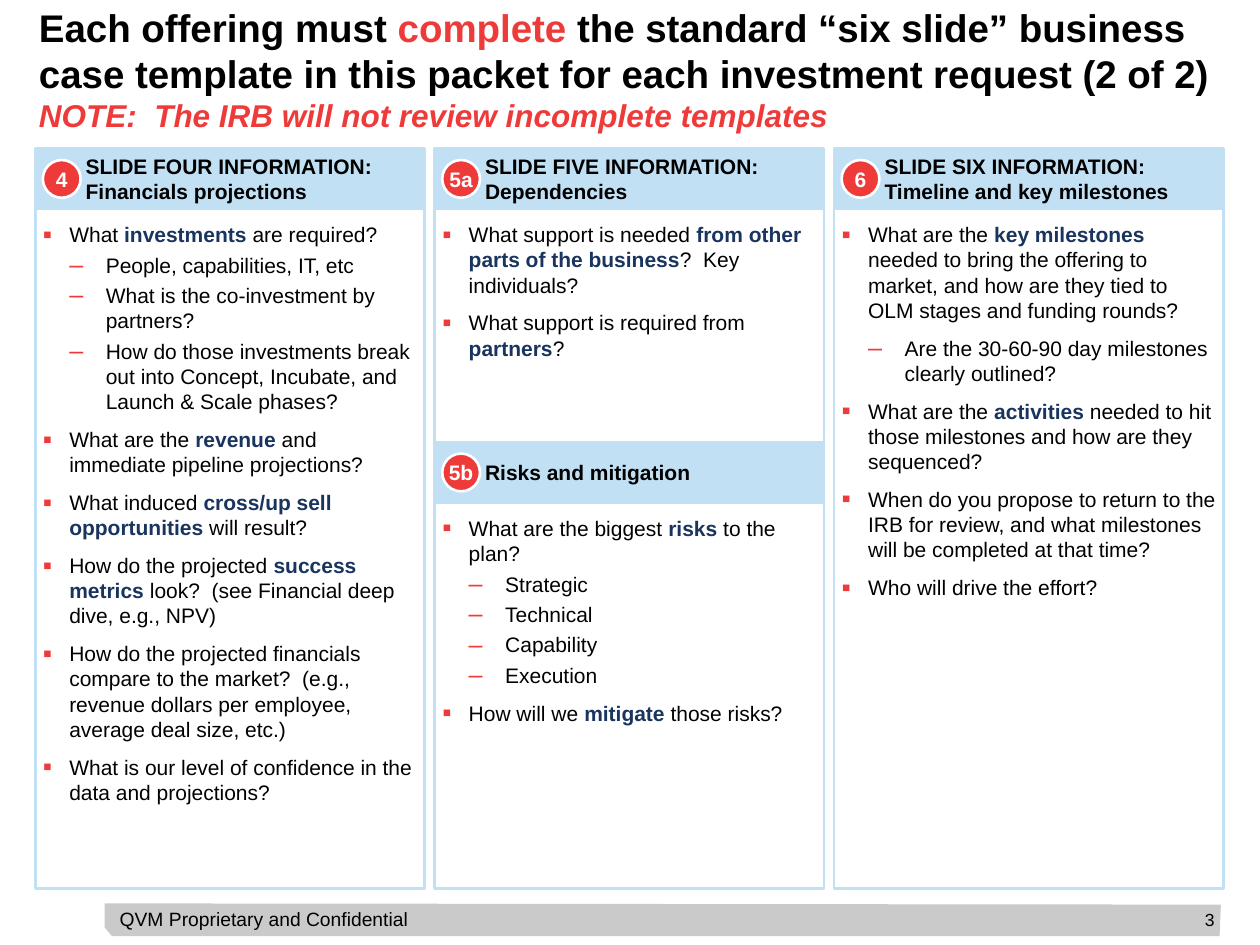
from dataclasses import dataclass

from lxml import etree
from pptx import Presentation
from pptx.dml.color import RGBColor
from pptx.enum import shapes, text
from pptx.oxml.ns import qn
from pptx.util import Inches, Pt


@dataclass(frozen=True)
class Theme:
    font: str = "Arial"
    black: str = "000000"
    white: str = "FFFFFF"
    red: str = "EF3A3A"
    navy: str = "19345E"
    pale_blue: str = "C1E0F4"
    gray: str = "CACACA"
    title: int = 22
    note: int = 18
    body: int = 12
    footer: int = 11
    number: int = 10


theme = Theme()
presentation = Presentation()
presentation.slide_width, presentation.slide_height = Inches(10), Inches(7.5)
slide = presentation.slides.add_slide(presentation.slide_layouts[6])


def add_run(paragraph, words, size, color=theme.black, bold=False, italic=False):
    run = paragraph.add_run()
    run.text = words
    run.font.name, run.font.size = theme.font, Pt(size)
    run.font.bold, run.font.italic = bold, italic
    run.font.color.rgb = RGBColor.from_string(color)


def add_block(left, top, width, height, kind=None, fill=None, line=None):
    """Add a preset shape, or a text box when kind is None, with no text margins."""
    box = [Inches(value) for value in (left, top, width, height)]
    if kind is None:
        shape = slide.shapes.add_textbox(*box)
    else:
        shape = slide.shapes.add_shape(kind, *box)
        shape.shadow.inherit = False
        shape.fill.solid()
        shape.fill.fore_color.rgb = RGBColor.from_string(fill)
        shape.line.color.rgb = RGBColor.from_string(line)
        shape.line.width = Pt(1.5)
    frame = shape.text_frame
    frame.margin_left = frame.margin_right = frame.margin_top = frame.margin_bottom = 0
    frame.word_wrap = True
    return frame


# Footer bar, notice and page number
corners = [(0.83, 7.17), (0.83, 7.36), (0.89, 7.43), (9.68, 7.43), (9.69, 7.18)]
points = [(Inches(x), Inches(y)) for x, y in corners]
builder = slide.shapes.build_freeform(*points[0])
builder.add_line_segments(points[1:], close=True)
bar = builder.convert_to_shape()
bar.shadow.inherit = False
bar.fill.solid()
bar.fill.fore_color.rgb = RGBColor.from_string(theme.gray)
bar.line.fill.background()

notice = add_block(0.95, 7.2, 4.16, 0.19)
notice.vertical_anchor = text.MSO_ANCHOR.MIDDLE
add_run(notice.paragraphs[0], "QVM Proprietary and Confidential", theme.footer)

number = add_block(9.46, 7.21, 0.18, 0.17)
number.vertical_anchor = text.MSO_ANCHOR.MIDDLE
number.paragraphs[0].alignment = text.PP_ALIGN.RIGHT
add_run(number.paragraphs[0], "3", theme.number)

# Title
title = add_block(0.31, 0.03, 9.56, 1.04).paragraphs[0]
add_run(title, "Each offering must ", theme.title, bold=True)
add_run(title, "complete", theme.title, theme.red, bold=True)
add_run(title, " the standard “six slide” business case template in this packet "
               "for each investment request (2 of 2) ", theme.title, bold=True)
add_run(title, "NOTE:  The IRB will not review incomplete templates",
        theme.note, theme.red, bold=True, italic=True)

# Three equal columns
column_lefts = [0.28 + 3.17 * column for column in range(3)]
column_width = 3.09
for left in column_lefts:
    add_block(left, 1.19, column_width, 5.86, shapes.MSO_SHAPE.RECTANGLE,
              theme.white, theme.pale_blue)

# Sections: column, top, badge, heading lines, body height, space before
# sub-items, items. *...* marks emphasis and a leading "- " a sub-item.
sections = [
    (0, 1.18, "4", ["SLIDE FOUR INFORMATION:", "Financials projections"], 4.66, 3, [
        "What *investments *are required?",
        "- People, capabilities, IT, etc",
        "- What is the co-investment by partners?",
        "- How do those investments break out into Concept, Incubate, "
        "and Launch & Scale phases?",
        "What are the *revenue* and immediate pipeline projections?",
        "What induced *cross/up sell opportunities* will result?",
        "How do the projected *success metrics *look?  "
        "(see Financial deep dive, e.g., NPV)",
        "How do the projected financials compare to the market?  "
        "(e.g., revenue dollars per employee, average deal size, etc.)",
        "What is our level of confidence in the data and projections?",
    ]),
    (1, 1.18, "5a", ["SLIDE FIVE INFORMATION:", "Dependencies"], 1.11, 3, [
        "What support is needed *from other parts of the business*?  Key individuals?",
        "What support is required from *partners*?",
    ]),
    (2, 1.18, "6", ["SLIDE SIX INFORMATION:", "Timeline and key milestones"], 3.02, 7.2, [
        "What are the *key milestones* needed to bring the offering to market, "
        "and how are they tied to OLM stages and funding rounds?",
        "- Are the 30-60-90 day milestones clearly outlined?",
        "What are the *activities* needed to hit those milestones "
        "and how are they sequenced?",
        "When do you propose to return to the IRB for review, "
        "and what milestones will be completed at that time?",
        "Who will drive the effort?",
    ]),
    (1, 3.51, "5b", ["Risks and mitigation"], 1.68, 3, [
        "What are the biggest *risks* to the plan?",
        "- Strategic",
        "- Technical",
        "- Capability",
        "- Execution",
        "How will we *mitigate* those risks?",
    ]),
]

for column, top, label, heading_lines, body_height, sub_space, items in sections:
    left = column_lefts[column]
    add_block(left, top, column_width, 0.48, shapes.MSO_SHAPE.RECTANGLE,
              theme.pale_blue, theme.pale_blue)

    badge = add_block(left + 0.06, top + 0.09, 0.3, 0.3, shapes.MSO_SHAPE.OVAL,
                      theme.red, theme.white)
    badge.word_wrap = False
    badge.vertical_anchor = text.MSO_ANCHOR.MIDDLE
    badge.paragraphs[0].alignment = text.PP_ALIGN.CENTER
    badge.paragraphs[0].space_after = Pt(2)
    add_run(badge.paragraphs[0], label, theme.body, theme.white, bold=True)

    heading_height = 0.2 * len(heading_lines)
    heading = add_block(left + 0.4, top + 0.24 - heading_height / 2, 2.49, heading_height)
    paragraph = heading.paragraphs[0]
    paragraph.space_after = Pt(2)
    for index, line in enumerate(heading_lines):
        if index:
            paragraph.add_line_break()
        add_run(paragraph, line, theme.body, bold=True)

    body = add_block(left + 0.05, top + 0.58, 2.99, body_height)
    for index, item in enumerate(items):
        paragraph = body.add_paragraph() if index else body.paragraphs[0]
        is_sub = item.startswith("- ")
        paragraph.level = 2 if is_sub else 1
        paragraph.space_before = Pt(sub_space if is_sub else 7.2)
        indent, hanging, mark, percent = (
            (0.51, 0.29, "–", 120) if is_sub else (0.22, 0.21, "▪", 125))
        properties = paragraph._p.get_or_add_pPr()
        properties.set("marL", str(Inches(indent)))
        properties.set("indent", str(-Inches(hanging)))
        bullet_color = etree.SubElement(properties, qn("a:buClr"))
        etree.SubElement(bullet_color, qn("a:srgbClr"), val=theme.red)
        etree.SubElement(properties, qn("a:buSzPct"), val=str(percent * 1000))
        etree.SubElement(properties, qn("a:buFont"), typeface=theme.font)
        etree.SubElement(properties, qn("a:buChar"), char=mark)
        for part, words in enumerate(item.removeprefix("- ").split("*")):
            emphasis = part % 2 == 1
            add_run(paragraph, words, theme.body,
                    theme.navy if emphasis else theme.black, bold=emphasis)

presentation.save("out.pptx")
